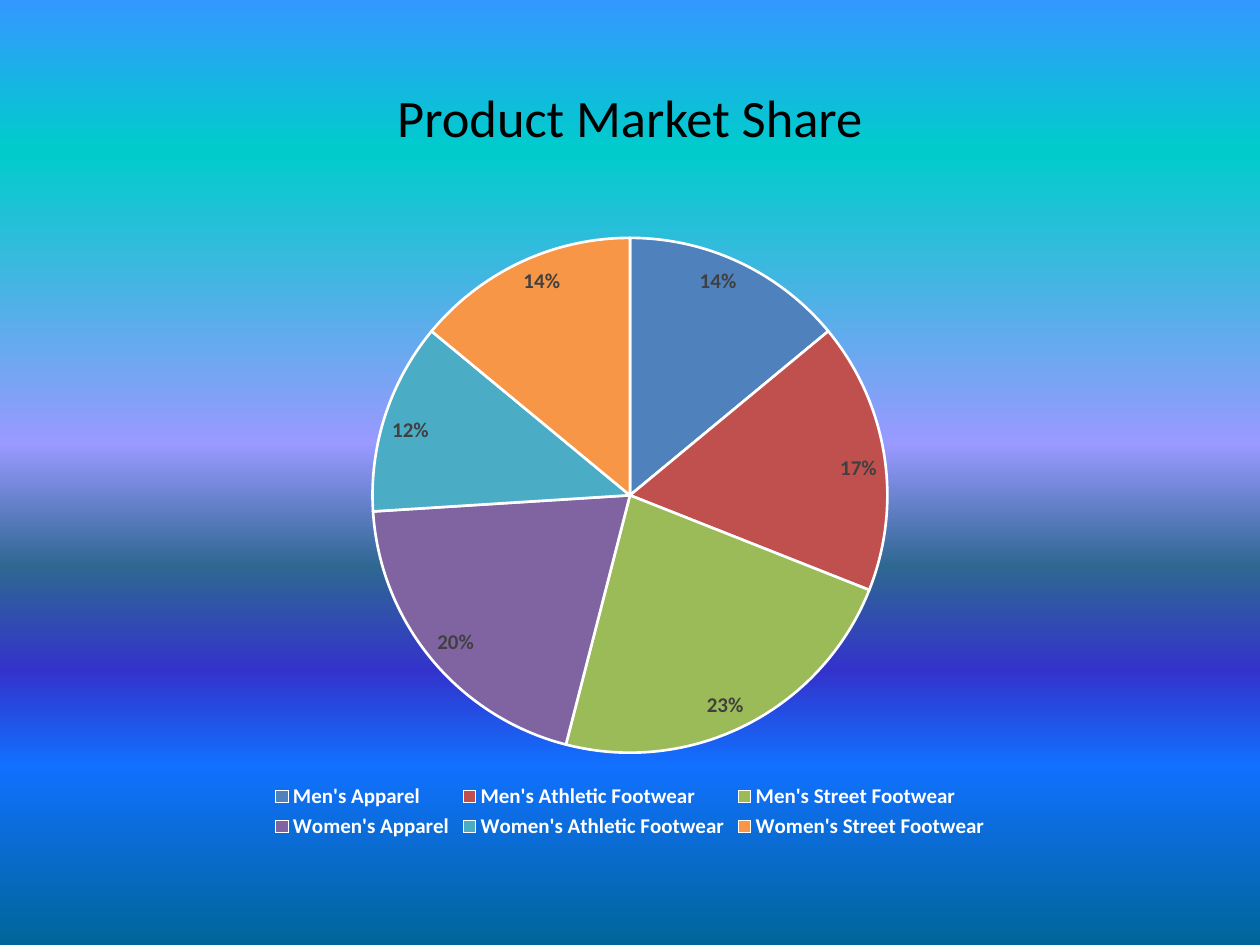
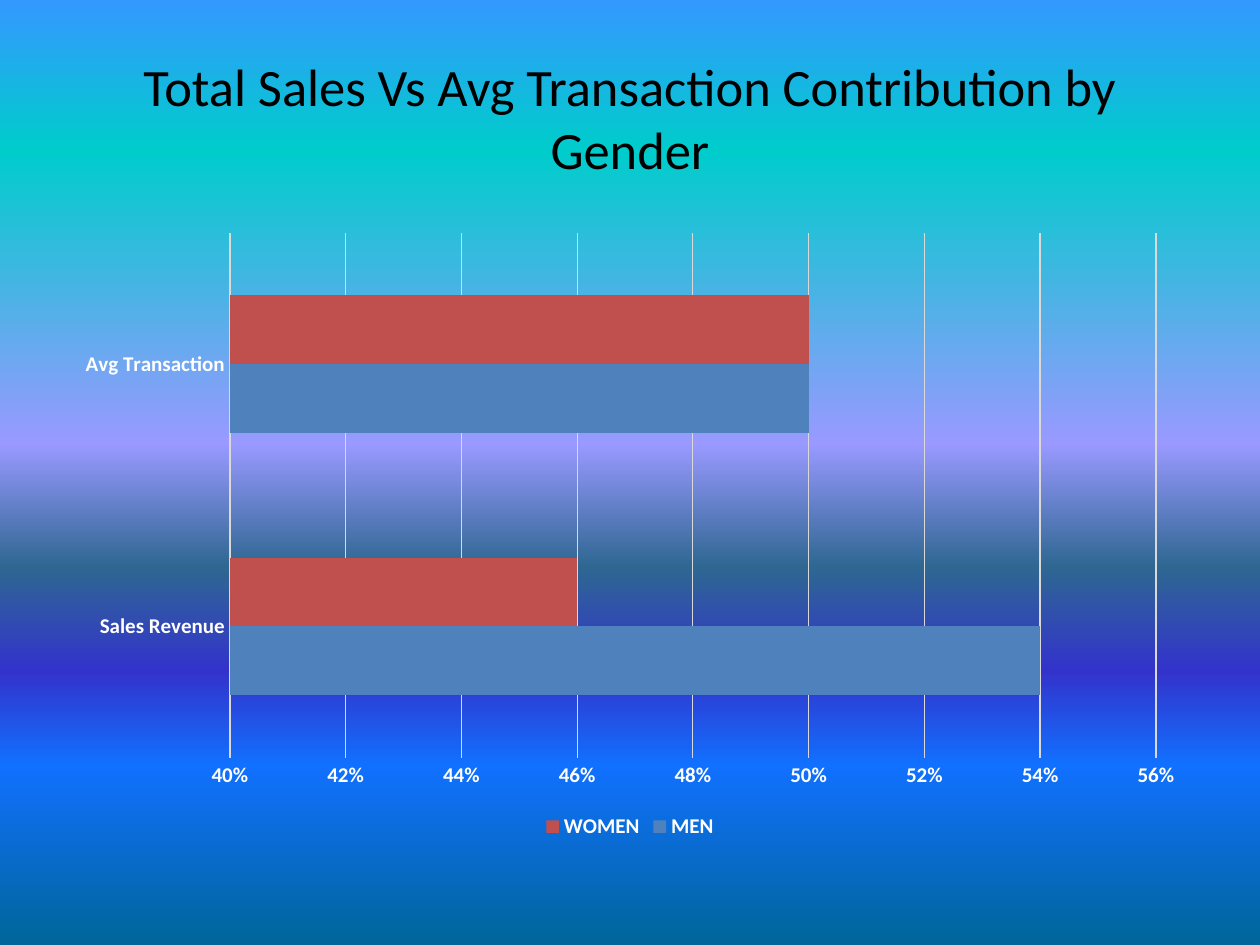
import dataclasses

import pptx
import pptx.chart.data
import pptx.dml.color
import pptx.enum.chart
import pptx.enum.text
import pptx.oxml
import pptx.oxml.ns
import pptx.util
from pptx.util import Inches

RGB = pptx.dml.color.RGBColor.from_string
CHART_TYPE = pptx.enum.chart.XL_CHART_TYPE


@dataclasses.dataclass(frozen=True)
class Theme:
    font: str = "Calibri"
    title_size: float = 30
    chart_size: float = 10
    label_size: float = 12
    black: str = "000000"
    white: str = "FFFFFF"
    grid: str = "D9D9D9"
    value_label: str = "404040"
    accents: tuple = ("4F81BD", "C0504D", "9BBB59", "8064A2", "4BACC6", "F79646")
    sky: tuple = ((0, "3399FF"), (16, "00CCCC"), (47, "9999FF"), (60, "2E6792"),
                  (71, "3333CC"), (81, "1170FF"), (100, "006699"))


theme = Theme()


def style_font(font, size=theme.label_size, color=theme.white, bold=True):
    font.name = theme.font
    font.size = pptx.util.Pt(size)
    font.bold = bold
    font.color.rgb = RGB(color)


def write_text(frame, text, align=pptx.enum.text.PP_ALIGN.CENTER, **font_format):
    frame.text = text
    frame.word_wrap = True
    frame.vertical_anchor = pptx.enum.text.MSO_ANCHOR.MIDDLE
    frame.paragraphs[0].alignment = align
    style_font(frame.paragraphs[0].runs[0].font, **font_format)


deck = pptx.Presentation()
deck.slide_width, deck.slide_height = Inches(10), Inches(7.5)

# Shared background: a vertical gradient on the master
background = deck.slide_master.background.fill
background.gradient()
background.gradient_angle = 270
stops = deck.slide_master.element.find(".//" + pptx.oxml.ns.qn("p:bg")).find(
    ".//" + pptx.oxml.ns.qn("a:gsLst"))
for stop in list(stops):
    stops.remove(stop)
for percent, color in theme.sky:
    stops.append(pptx.oxml.parse_xml(
        f'<a:gs {pptx.oxml.ns.nsdecls("a")} pos="{percent * 1000}">'
        f'<a:srgbClr val="{color}"/></a:gs>'))

market_share = pptx.chart.data.CategoryChartData(number_format="0%")
market_share.categories = [f"{gender}'s {product}" for gender in ("Men", "Women")
                           for product in ("Apparel", "Athletic Footwear", "Street Footwear")]
market_share.add_series("Series 1", (0.14, 0.17, 0.23, 0.2, 0.12, 0.14))

gender_share = pptx.chart.data.CategoryChartData(number_format="0%")
gender_share.categories = ["Sales Revenue", "Avg Transaction"]
gender_share.add_series("MEN", (0.54, 0.5))
gender_share.add_series("WOMEN", (0.46, 0.5))

# Each slide: a title, a chart and a legend below it
charts = []
for title, chart_type, data in (
    ("Product Market Share", CHART_TYPE.PIE, market_share),
    ("Total Sales Vs Avg Transaction Contribution by Gender",
     CHART_TYPE.BAR_CLUSTERED, gender_share),
):
    slide = deck.slides.add_slide(deck.slide_layouts[5])
    heading = slide.shapes.title
    heading.left, heading.top = Inches(0.5), Inches(0.3)
    heading.width, heading.height = Inches(9), Inches(1.25)
    write_text(heading.text_frame, title, size=theme.title_size,
               color=theme.black, bold=False)

    chart = slide.shapes.add_chart(chart_type, Inches(0.5), Inches(1.75),
                                   Inches(9), Inches(4.95), data).chart
    style_font(chart.font, size=theme.chart_size, color=theme.black, bold=False)
    chart.has_title = False
    chart.has_legend = True
    chart.legend.position = pptx.enum.chart.XL_LEGEND_POSITION.BOTTOM
    chart.legend.include_in_layout = False
    style_font(chart.legend.font)
    charts.append(chart)

share_pie, gender_bars = charts

# Product Market Share
pie_plot = share_pie.plots[0]
pie_plot.vary_by_categories = True
for index, color in enumerate(theme.accents):
    slice_format = pie_plot.series[0].points[index].format
    slice_format.fill.solid()
    slice_format.fill.fore_color.rgb = RGB(color)
    slice_format.line.color.rgb = RGB(theme.white)
    slice_format.line.width = pptx.util.Pt(1.5)
pie_plot.has_data_labels = True
labels = pie_plot.data_labels
labels.show_value = True
labels.show_percentage = False
labels.number_format = "0%"
labels.number_format_is_linked = False
labels.position = pptx.enum.chart.XL_LABEL_POSITION.INSIDE_END
style_font(labels.font, color=theme.value_label)

# Contribution by gender
bar_plot = gender_bars.plots[0]
bar_plot.vary_by_categories = False
bar_plot.gap_width = 182
bar_plot.overlap = 0
for series, color in zip(bar_plot.series, theme.accents):
    series.format.fill.solid()
    series.format.fill.fore_color.rgb = RGB(color)

measures, shares = gender_bars.category_axis, gender_bars.value_axis
for axis in (measures, shares):
    axis.major_tick_mark = axis.minor_tick_mark = pptx.enum.chart.XL_TICK_MARK.NONE
    style_font(axis.tick_labels.font)
shares.minimum_scale, shares.maximum_scale, shares.major_unit = 0.4, 0.56, 0.02
shares.tick_labels.number_format = "0%"
shares.tick_labels.number_format_is_linked = False
shares.format.line.fill.background()
shares.has_major_gridlines = True
for line in (measures.format.line, shares.major_gridlines.format.line):
    line.color.rgb = RGB(theme.grid)
    line.width = pptx.util.Pt(0.75)

deck.save("out.pptx")
